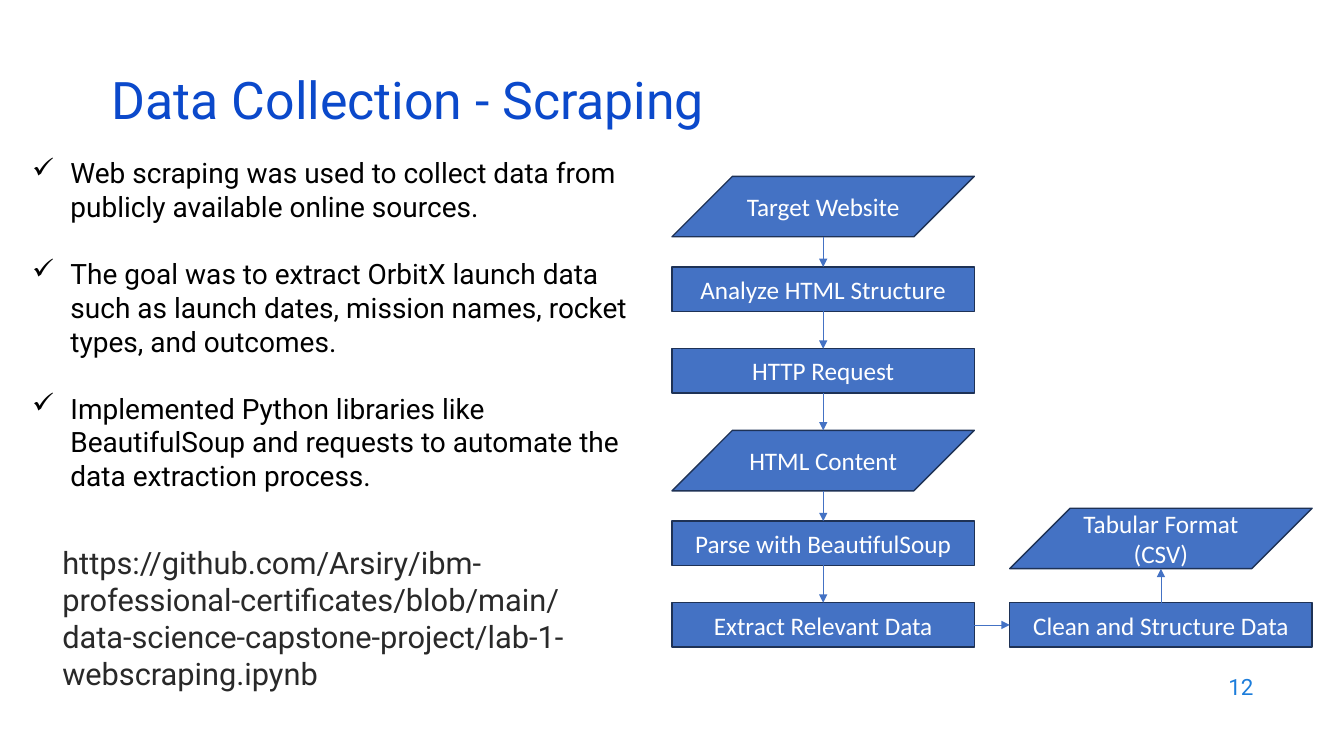
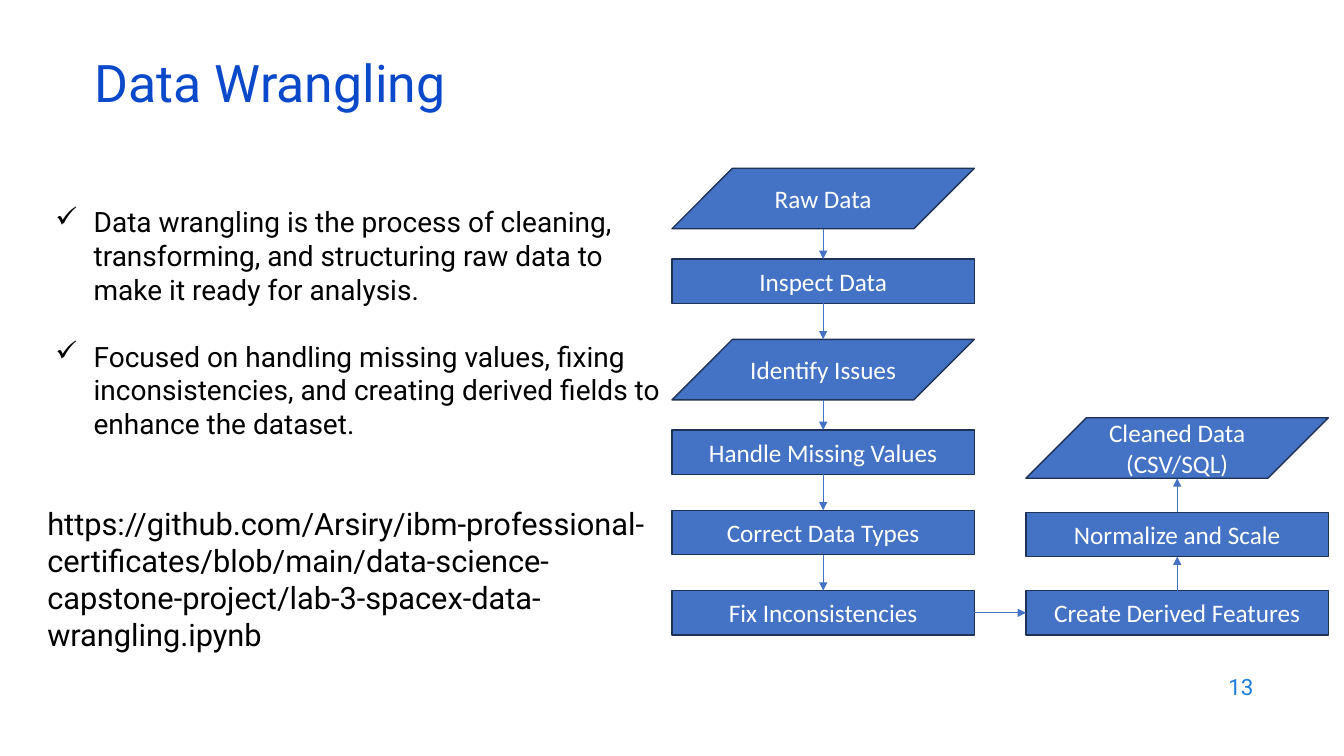
from pptx import Presentation
from pptx.dml.color import RGBColor
from pptx.enum.shapes import MSO_CONNECTOR, MSO_SHAPE
from pptx.enum.text import MSO_ANCHOR, MSO_AUTO_SIZE, PP_ALIGN
from pptx.oxml.ns import qn
from pptx.util import Inches, Pt
from lxml.etree import SubElement

WIDTH, HEIGHT = Inches(13.33), Inches(7.5)
COLORS = {
    "title": "0B49CB",
    "number": "1C7DDB",
    "black": "000000",
    "link": "292929",
    "white": "FFFFFF",
    "fill": "4472C4",
    "outline": "1E3256",
}
TITLE_LAYOUT = 5
BODY_FONT, FLOW_FONT = "Roboto", "Calibri"
NODE_WIDTH = 22.5
NODE_HEIGHTS = {"data": 8, "step": 5.87}
NODE_SHAPES = {
    "data": MSO_SHAPE.FLOWCHART_DATA,
    "step": MSO_SHAPE.FLOWCHART_PROCESS,
}
DATA_GAP, BRANCH_GAP = 4, 4.5
BULLET_INDENT = Inches(0.38)

SLIDES = [
    {
        "number": "12",
        "title": "Data Collection - Scraping",
        "title_box": (7.58, 10.13, 86.25, 8),
        "bullets": [
            "Web scraping was used to collect data from publicly available online sources.",
            "The goal was to extract OrbitX launch data such as launch dates, mission names, "
            "rocket types, and outcomes.",
            "Implemented Python libraries like BeautifulSoup and requests to automate the "
            "data extraction process.",
        ],
        "bullets_box": (1.65, 19.73, 48.38, 46.27),
        "link": "https://github.com/Arsiry/ibm-professional-certificates/blob/main/"
                "data-science-capstone-project/lab-1-webscraping.ipynb",
        "link_box": (3.9, 71.33, 43.5, 16.53),
        "link_color": "link",
        "trunk": [
            ("data", "Target Website"),
            ("step", "Analyze HTML Structure"),
            ("step", "HTTP Request"),
            ("data", "HTML Content"),
            ("step", "Parse with BeautifulSoup"),
            ("step", "Extract Relevant Data"),
        ],
        "branch": [
            ("step", "Clean and Structure Data"),
            ("data", "Tabular Format (CSV)"),
        ],
        "flow_box": (50, 23.33, 47.63, 62.27),
    },
    {
        "number": "13",
        "title": "Data Wrangling",
        "title_box": (6.3, 7.87, 86.25, 8),
        "bullets": [
            "Data wrangling is the process of cleaning, transforming, and structuring raw "
            "data to make it ready for analysis.",
            "Focused on handling missing values, fixing inconsistencies, and creating "
            "derived fields to enhance the dataset.",
        ],
        "bullets_box": (3.38, 26.27, 46.65, 32.8),
        "link": "https://github.com/Arsiry/ibm-professional-certificates/blob/main/"
                "data-science-capstone-project/lab-3-spacex-data-wrangling.ipynb",
        "link_box": (2.78, 66.13, 46.65, 16.27),
        "link_color": "black",
        "trunk": [
            ("data", "Raw Data"),
            ("step", "Inspect Data"),
            ("data", "Identify Issues"),
            ("step", "Handle Missing Values"),
            ("step", "Correct Data Types"),
            ("step", "Fix Inconsistencies"),
        ],
        "branch": [
            ("step", "Create Derived Features"),
            ("step", "Normalize and Scale"),
            ("data", "Cleaned Data (CSV/SQL)"),
        ],
        "flow_box": (50, 22.27, 48.84, 61.73),
    },
]
NUMBER_BOX = (71.5, 87.87, 22.5, 5.87)


def across(percent):
    return round(WIDTH * percent / 100)


def down(percent):
    return round(HEIGHT * percent / 100)


def to_lengths(box):
    left, top, width, height = box
    return across(left), down(top), across(width), down(height)


def color(name):
    return RGBColor.from_string(COLORS[name])


def format_text(frame, size, color_name, font=BODY_FONT, align=PP_ALIGN.LEFT,
                anchor=MSO_ANCHOR.MIDDLE):
    frame.word_wrap = True
    frame.auto_size = MSO_AUTO_SIZE.NONE
    frame.vertical_anchor = anchor
    for paragraph in frame.paragraphs:
        paragraph.alignment = align
        for run in paragraph.runs:
            run.font.name = font
            run.font.size = Pt(size)
            run.font.color.rgb = color(color_name)


def add_text(slide, box, text, size, color_name, **style):
    frame = slide.shapes.add_textbox(*to_lengths(box)).text_frame
    frame.text = text
    format_text(frame, size, color_name, **style)
    return frame


def set_title(slide, box, text):
    title = slide.shapes.title
    title.left, title.top, title.width, title.height = to_lengths(box)
    title.text_frame.text = text
    format_text(title.text_frame, 37, "title")
    title.text_frame.paragraphs[0].line_spacing = 0.7


def add_bullets(slide, box, items):
    frame = add_text(slide, box, "\n".join(items), 20, "black")
    for index, paragraph in enumerate(frame.paragraphs):
        properties = paragraph._p.get_or_add_pPr()
        properties.set("marL", str(BULLET_INDENT))
        properties.set("indent", str(-BULLET_INDENT))
        SubElement(properties, qn("a:buChar")).set("char", "✓")
        if index:
            paragraph.space_before = Pt(24)


def add_node(slide, left, top, kind, text):
    box = (left, top, NODE_WIDTH, NODE_HEIGHTS[kind])
    node = slide.shapes.add_shape(NODE_SHAPES[kind], *to_lengths(box))
    node.shadow.inherit = False
    node.fill.solid()
    node.fill.fore_color.rgb = color("fill")
    node.line.color.rgb = color("outline")
    node.line.width = Pt(1)
    node.text_frame.text = text
    format_text(node.text_frame, 18, "white", font=FLOW_FONT, align=PP_ALIGN.CENTER)
    return node


def add_arrow(slide, start, end):
    arrow = slide.shapes.add_connector(MSO_CONNECTOR.STRAIGHT, *start, *end)
    arrow.line.color.rgb = color("fill")
    arrow.line.width = Pt(0.5)
    SubElement(arrow.line._get_or_add_ln(), qn("a:tailEnd")).set("type", "triangle")
    SubElement(arrow._element.spPr, qn("a:effectLst"))


def top_point(node):
    return node.left + node.width // 2, node.top


def bottom_point(node):
    return node.left + node.width // 2, node.top + node.height


def add_trunk(slide, left, top, height, items):
    data_gaps = [DATA_GAP for kind, _ in items[:-1] if kind == "data"]
    used = sum(NODE_HEIGHTS[kind] for kind, _ in items) + sum(data_gaps)
    step_gap = (height - used) / (len(items) - 1 - len(data_gaps))
    nodes = []
    for kind, text in items:
        nodes.append(add_node(slide, left, top, kind, text))
        top += NODE_HEIGHTS[kind] + (DATA_GAP if kind == "data" else step_gap)
    for upper, lower in zip(nodes, nodes[1:]):
        add_arrow(slide, bottom_point(upper), top_point(lower))
    return nodes


def add_branch(slide, left, bottom, items):
    nodes = []
    for kind, text in items:
        top = bottom - NODE_HEIGHTS[kind]
        nodes.append(add_node(slide, left, top, kind, text))
        bottom = top - BRANCH_GAP
    for lower, upper in zip(nodes, nodes[1:]):
        add_arrow(slide, top_point(lower), bottom_point(upper))
    return nodes


def add_flowchart(slide, box, trunk, branch):
    left, top, width, height = box
    last = add_trunk(slide, left, top, height, trunk)[-1]
    first = add_branch(slide, left + width - NODE_WIDTH, top + height, branch)[0]
    middle = last.top + last.height // 2
    add_arrow(slide, (last.left + last.width, middle), (first.left, middle))


def add_process_slide(presentation, content):
    slide = presentation.slides.add_slide(presentation.slide_layouts[TITLE_LAYOUT])
    set_title(slide, content["title_box"], content["title"])
    add_text(slide, NUMBER_BOX, content["number"], 16, "number", align=PP_ALIGN.RIGHT)
    add_text(slide, content["link_box"], content["link"], 22, content["link_color"],
             anchor=MSO_ANCHOR.TOP)
    add_bullets(slide, content["bullets_box"], content["bullets"])
    add_flowchart(slide, content["flow_box"], content["trunk"], content["branch"])


def main():
    presentation = Presentation()
    presentation.slide_width, presentation.slide_height = WIDTH, HEIGHT
    for content in SLIDES:
        add_process_slide(presentation, content)
    presentation.save("out.pptx")


if __name__ == "__main__":
    main()
